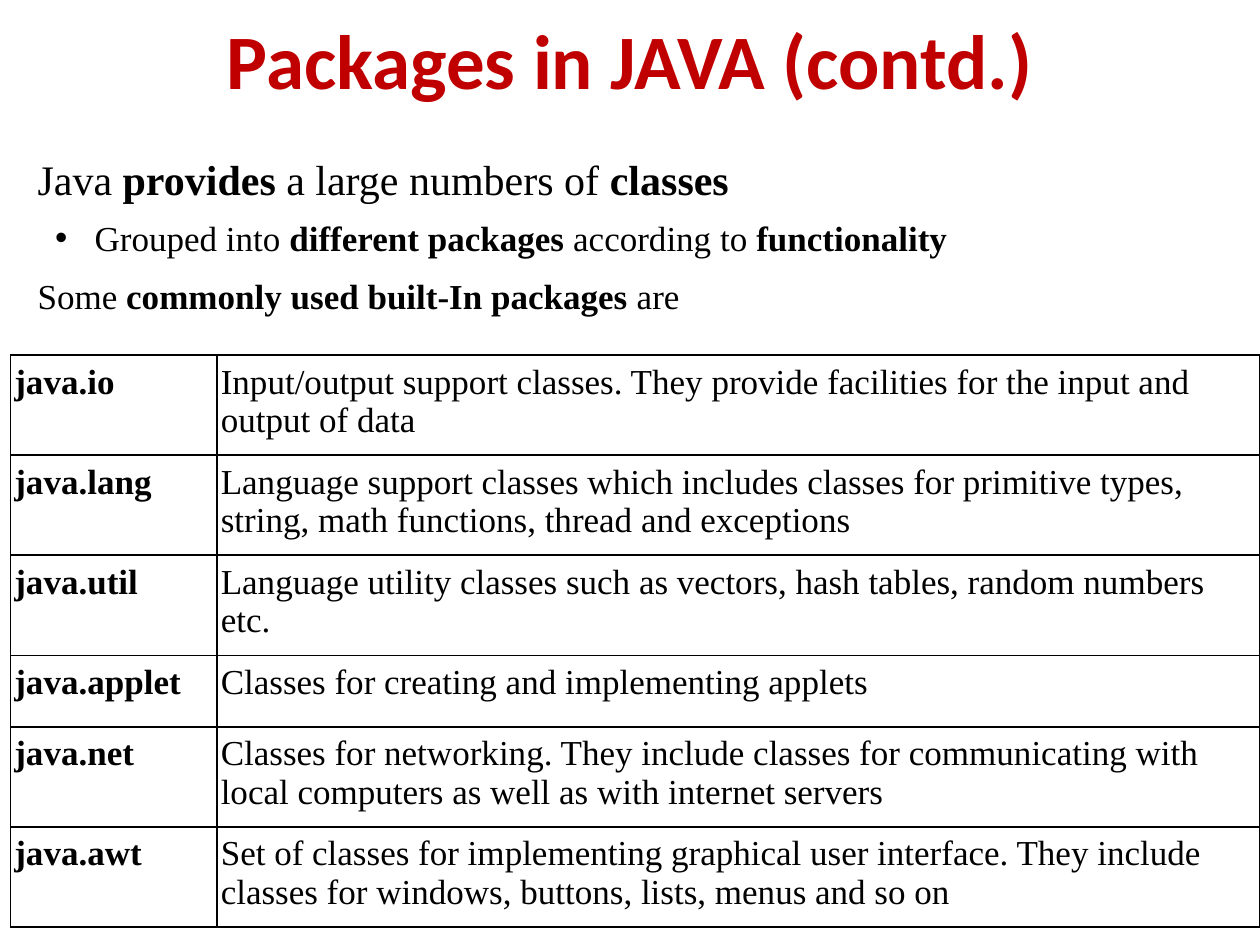
from lxml import etree
from pptx import Presentation
from pptx.dml.color import RGBColor
from pptx.enum.text import MSO_ANCHOR, PP_ALIGN
from pptx.oxml import parse_xml
from pptx.oxml.ns import nsdecls, qn
from pptx.util import Pt

CENTER = PP_ALIGN.CENTER
MIDDLE = MSO_ANCHOR.MIDDLE
RED = RGBColor(0xC0, 0x00, 0x00)
BLACK = RGBColor(0x00, 0x00, 0x00)
WHITE = RGBColor(0xFF, 0xFF, 0xFF)
BODY_FONT = "Times New Roman"


def style(span, size, bold, color=BLACK, font=BODY_FONT):
    span.font.name = font
    span.font.size = Pt(size)
    span.font.bold = bold
    span.font.color.rgb = color


deck = Presentation()
deck.slide_width, deck.slide_height = Pt(720), Pt(540)
page = deck.slides.add_slide(deck.slide_layouts[5])

# Title
title = page.shapes.title
title.left, title.top, title.width, title.height = Pt(0), Pt(-11.5), Pt(720), Pt(90)
title.text_frame.text = "Packages in JAVA (contd.)"
title.text_frame.vertical_anchor = MIDDLE
heading = title.text_frame.paragraphs[0]
heading.alignment = CENTER
style(heading.runs[0], 44, True, RED, "Calibri")

# Introduction: size, space before, left margin, first-line indent, bullet,
# then pieces that alternate between regular and bold
INTRO = [
    (24, 0, 14.4, 0, False, ["Java ", "provides", " a large numbers of ", "classes"]),
    (20, 7, 47, -22.5, True,
     ["Grouped into ", "different packages ", "according to ", "functionality"]),
    (20, 9.5, 14.4, 0, False, ["Some ", "commonly used built-In packages ", "are"]),
]
intro = page.shapes.add_textbox(Pt(0), Pt(84.2), Pt(720), Pt(101.5))
intro.text_frame.word_wrap = True
for index, (size, before, margin, indent, bullet, pieces) in enumerate(INTRO):
    para = intro.text_frame.paragraphs[0] if index == 0 else intro.text_frame.add_paragraph()
    para.space_before = Pt(before)
    for position, piece in enumerate(pieces):
        span = para.add_run()
        span.text = piece
        style(span, size, position % 2 == 1)
    properties = para._p.get_or_add_pPr()
    properties.set("marL", str(Pt(margin)))
    properties.set("indent", str(Pt(indent)))
    if bullet:
        etree.SubElement(properties, qn("a:buFont")).set("typeface", "Arial")
        etree.SubElement(properties, qn("a:buChar")).set("char", "•")

# Package table: name, description, row height
PACKAGES = [
    ("java.io", "Input/output support classes. They provide facilities for the input "
     "and output of data", 57.15),
    ("java.lang", "Language support classes which includes classes for primitive types, "
     "string, math functions, thread and exceptions", 57.15),
    ("java.util", "Language utility classes such as vectors, hash tables, random numbers "
     "etc.", 57.15),
    ("java.applet", "Classes for creating and implementing applets", 41),
    ("java.net", "Classes for networking. They include classes for communicating with "
     "local computers as well as with internet servers", 57.15),
    ("java.awt", "Set of classes for implementing graphical user interface. They include "
     "classes for windows, buttons, lists, menus and so on", 57.15),
]
height = sum(package[2] for package in PACKAGES)
table = page.shapes.add_table(len(PACKAGES), 2, Pt(6), Pt(203), Pt(714), Pt(height)).table
table.first_row = False
table.horz_banding = False
table.columns[0].width, table.columns[1].width = Pt(118), Pt(596)
for row, (name, description, row_height) in zip(table.rows, PACKAGES):
    row.height = Pt(row_height)
    for column, text in enumerate((name, description)):
        cell = row.cells[column]
        cell.margin_left = cell.margin_right = Pt(2.2)
        cell.margin_top = cell.margin_bottom = Pt(4.3)
        cell.text_frame.text = text
        style(cell.text_frame.paragraphs[0].runs[0], 20, column == 0)
        for side in ("lnL", "lnR", "lnT", "lnB"):
            cell._tc.get_or_add_tcPr().append(parse_xml(
                f'<a:{side} {nsdecls("a")} w="{Pt(1)}"><a:solidFill>'
                f'<a:srgbClr val="{BLACK}"/></a:solidFill></a:{side}>'))
        cell.fill.solid()
        cell.fill.fore_color.rgb = WHITE

deck.save("out.pptx")
